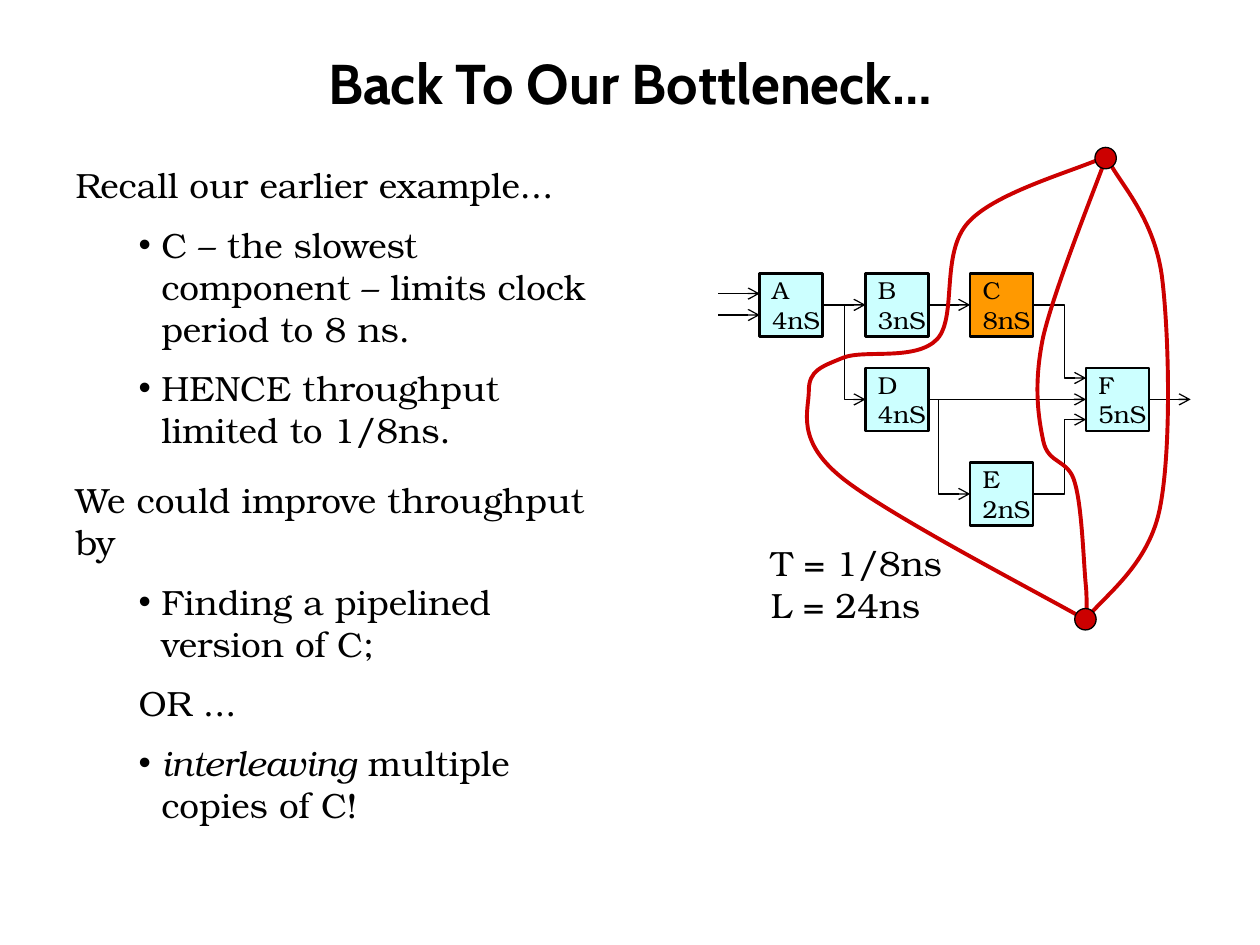
from lxml import etree
from pptx import Presentation
from pptx.dml.color import RGBColor
from pptx.enum.shapes import MSO_CONNECTOR, MSO_SHAPE
from pptx.enum.text import MSO_ANCHOR, MSO_AUTO_SIZE, PP_ALIGN
from pptx.oxml.ns import qn
from pptx.util import Inches, Pt

RECT, OVAL = MSO_SHAPE.RECTANGLE, MSO_SHAPE.OVAL
STRAIGHT = MSO_CONNECTOR.STRAIGHT
LEFT, CENTER = PP_ALIGN.LEFT, PP_ALIGN.CENTER
TOP, MIDDLE = MSO_ANCHOR.TOP, MSO_ANCHOR.MIDDLE
FIXED, GROW = MSO_AUTO_SIZE.NONE, MSO_AUTO_SIZE.SHAPE_TO_FIT_TEXT
BLACK = RGBColor(0x00, 0x00, 0x00)
CYAN = RGBColor(0xCC, 0xFF, 0xFF)
ORANGE = RGBColor(0xFF, 0x99, 0x00)
RED = RGBColor(0xCC, 0x00, 0x00)
HEAD, SERIF = "Cabin", "TeX Gyre Bonum"

# Content
TITLE = "Back To Our Bottleneck…"
# Each list: box, then (level, bullet, [(text, italic)])
LISTS = [
    ((0.5, 1.25, 4.25, 2.46), [
        (0, False, [("Recall our earlier example...", False)]),
        (1, True, [("C – the slowest component – limits clock period to 8 ns.", False)]),
        (1, True, [("HENCE throughput limited to 1/8ns.", False)]),
    ]),
    ((0.5, 3.75, 4.5, 2.96), [
        (0, False, [("We could improve throughput by", False)]),
        (1, True, [("Finding a pipelined version of C;", False)]),
        (1, False, [("OR ...", False)]),
        (1, True, [("interleaving", True), (" multiple copies of C!", False)]),
    ]),
]
RATES = ["T = 1/8ns", "L = 24ns"]
SIDE, DOT = 0.5, 0.17
# Blocks: name, delay, left, top, fill
BLOCKS = [
    ("A", "4nS", 6.03, 2.17, CYAN),
    ("B", "3nS", 6.87, 2.17, CYAN),
    ("C", "8nS", 7.7, 2.17, ORANGE),
    ("D", "4nS", 6.87, 2.92, CYAN),
    ("E", "2nS", 7.7, 3.67, CYAN),
    ("F", "5nS", 8.62, 2.92, CYAN),
]
# Wires: corner points, the arrow is at the last
WIRES = [
    [(5.7, 2.33), (6.03, 2.33)],
    [(5.7, 2.5), (6.03, 2.5)],
    [(6.53, 2.42), (6.87, 2.42)],
    [(7.37, 2.42), (7.7, 2.42)],
    [(7.37, 3.17), (8.62, 3.17)],
    [(9.12, 3.17), (9.45, 3.17)],
    [(6.7, 2.42), (6.7, 3.17), (6.87, 3.17)],
    [(8.2, 2.42), (8.45, 2.42), (8.45, 3), (8.62, 3)],
    [(7.45, 3.17), (7.45, 3.92), (7.7, 3.92)],
    [(8.2, 3.92), (8.45, 3.92), (8.45, 3.33), (8.62, 3.33)],
]
# Pipeline cuts: start, then three Bezier points for each arc
CUTS = [
    [(8.62, 4.92),
     (8.62, 4.88), (8.63, 4.85), (8.62, 4.67),
     (8.6, 4.49), (8.59, 4.03), (8.53, 3.83),
     (8.48, 3.64), (8.32, 3.69), (8.28, 3.5),
     (8.24, 3.31), (8.2, 3.05), (8.28, 2.67),
     (8.37, 2.29), (8.68, 1.52), (8.79, 1.22)],
    [(8.62, 4.92),
     (8.29, 4.73), (7.05, 4.09), (6.68, 3.79),
     (6.31, 3.49), (6.42, 3.26), (6.42, 3.1),
     (6.42, 2.94), (6.52, 2.91), (6.69, 2.84),
     (6.86, 2.77), (7.27, 2.87), (7.44, 2.69),
     (7.6, 2.51), (7.46, 2), (7.69, 1.76),
     (7.91, 1.52), (8.55, 1.35), (8.78, 1.24)],
    [(8.62, 4.92),
     (8.71, 4.77), (9.1, 4.52), (9.2, 4.06),
     (9.3, 3.6), (9.28, 2.64), (9.22, 2.18),
     (9.15, 1.71), (8.88, 1.45), (8.79, 1.26)],
]
DOTS = [(8.53, 4.83), (8.69, 1.17)]


def style(para, size, face=SERIF, bold=False, align=LEFT):
    font = para.font
    font.name, font.size, font.bold = face, Pt(size), bold
    font.color.rgb = BLACK
    para.alignment = align


def place(shape, box):
    shape.left, shape.top, shape.width, shape.height = map(Inches, box)


def ink(shape, color, width):
    shape.line.color.rgb = color
    shape.line.width = Pt(width)


def write(frame, lines, size):
    frame.word_wrap = False
    frame.text = "\n".join(lines)
    for para in frame.paragraphs:
        style(para, size)


def block(shapes, kind, box, fill, width):
    shape = shapes.add_shape(kind, *map(Inches, box))
    shape.shadow.inherit = False
    shape.fill.solid()
    shape.fill.fore_color.rgb = fill
    ink(shape, BLACK, width)
    return shape


def trace(shapes, points):
    spots = [(Inches(x), Inches(y)) for x, y in points]
    pen = shapes.build_freeform(*spots[0])
    pen.add_line_segments(spots[1:], close=False)
    shape = pen.convert_to_shape()
    shape.shadow.inherit = False
    shape.fill.background()
    return shape


def bend(shape):
    """Turn each three line steps into one cubic arc."""
    steps = list(shape.element.iter(qn("a:lnTo")))
    for i in range(0, len(steps), 3):
        arc = etree.SubElement(steps[i].getparent(), qn("a:cubicBezTo"))
        for step in steps[i:i + 3]:
            arc.append(step[0])
            step.getparent().remove(step)


def wire(shapes, points):
    if len(points) == 2:
        ends = [Inches(v) for point in points for v in point]
        line = shapes.add_connector(STRAIGHT, *ends)
        etree.SubElement(line.element.spPr, qn("a:effectLst"))
    else:
        line = trace(shapes, points)
    ink(line, BLACK, 0.75)
    etree.SubElement(line.line._get_or_add_ln(), qn("a:tailEnd"), type="arrow")


def fill_list(holder, box, items):
    place(holder, box)
    frame = holder.text_frame
    frame.auto_size, frame.vertical_anchor = FIXED, TOP
    for i, (level, dot, runs) in enumerate(items):
        para = frame.add_paragraph() if i else frame.paragraphs[0]
        para.level = level
        para.space_before = Pt(10)
        props = para._p.get_or_add_pPr()
        props.set("marL", str(Inches(0.68 * level)))
        props.set("indent", str(Inches(-0.18 * level)))
        if dot:
            etree.SubElement(props, qn("a:buChar"), char="•")
        else:
            etree.SubElement(props, qn("a:buNone"))
        style(para, 20)
        for text, slant in runs:
            run = para.add_run()
            run.text = text
            if slant:
                run.font.italic = True


def main():
    deck = Presentation()
    deck.slide_width, deck.slide_height = Inches(10), Inches(7.5)
    slide = deck.slides.add_slide(deck.slide_layouts[3])
    shapes = slide.shapes

    # Title and lists
    title, *bodies = slide.placeholders
    place(title, (0.5, 0.3, 9, 0.7))
    title.text_frame.text = TITLE
    title.text_frame.vertical_anchor = MIDDLE
    title.text_frame.auto_size = FIXED
    style(title.text_frame.paragraphs[0], 32, HEAD, True, CENTER)
    for holder, (box, items) in zip(bodies, LISTS):
        fill_list(holder, box, items)

    # Circuit
    for name, delay, x, y, fill in BLOCKS:
        part = block(shapes, RECT, (x, y, SIDE, SIDE), fill, 1.5)
        part.text_frame.vertical_anchor = MIDDLE
        write(part.text_frame, [name, delay], 14)
    for points in WIRES:
        wire(shapes, points)

    # Pipeline cuts and their end dots
    for points in CUTS:
        cut = trace(shapes, points)
        bend(cut)
        ink(cut, RED, 2.25)
    for x, y in DOTS:
        block(shapes, OVAL, (x, y, DOT, DOT), RED, 0.75)

    # Throughput and latency
    note = shapes.add_textbox(*map(Inches, (6.02, 4.25, 1.57, 0.77)))
    note.text_frame.auto_size = GROW
    write(note.text_frame, RATES, 20)

    deck.save("out.pptx")


if __name__ == "__main__":
    main()
